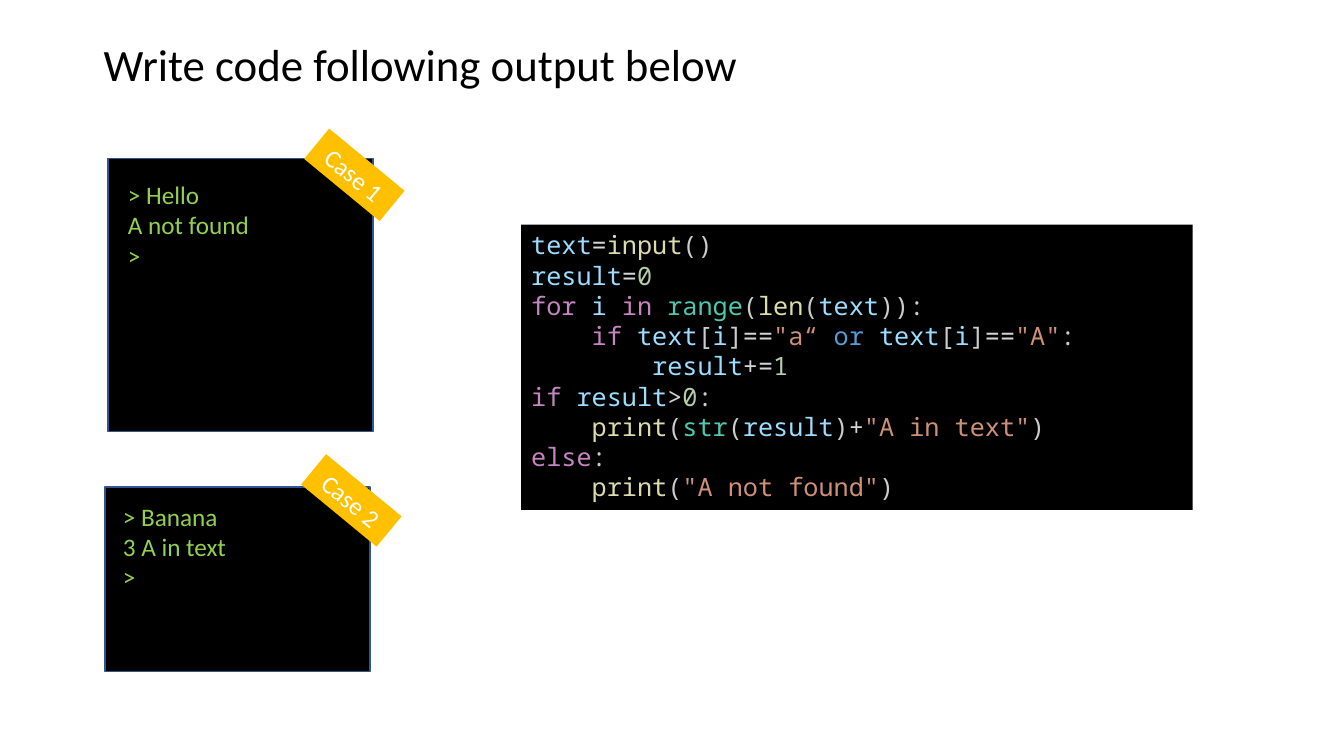
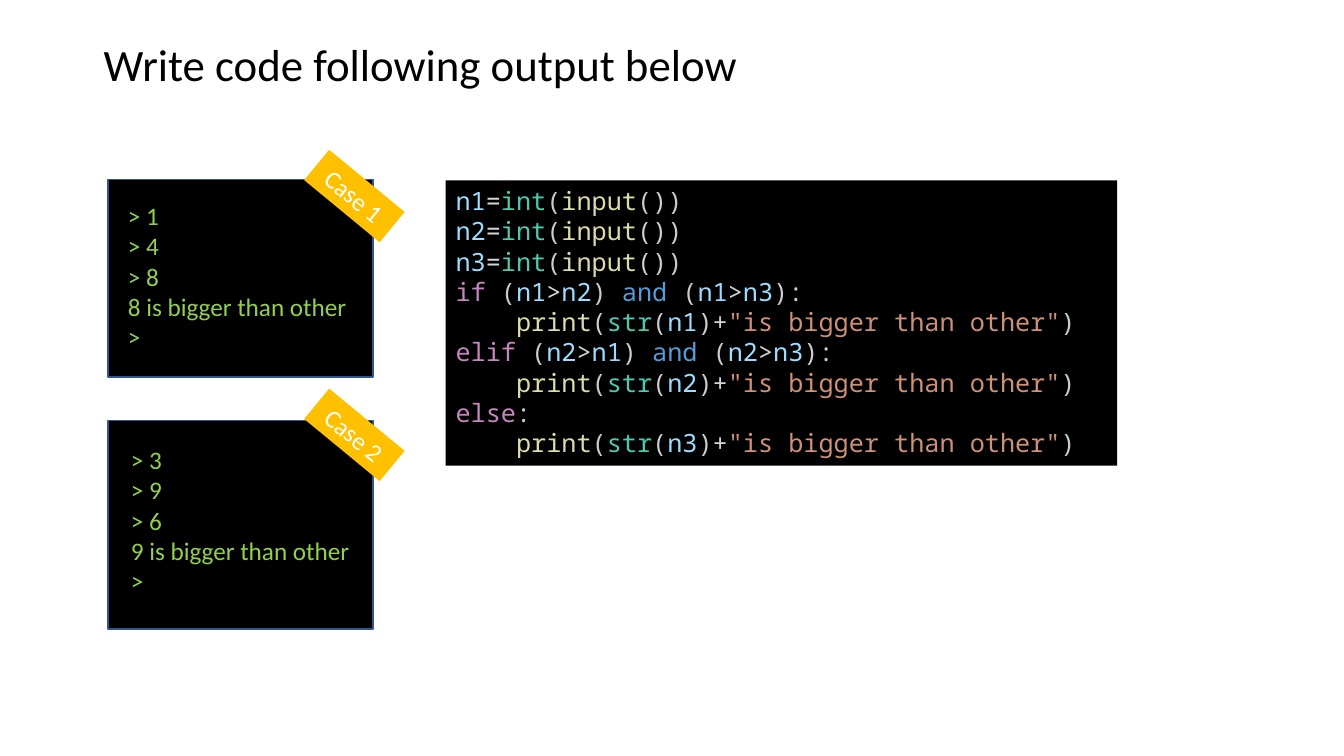
from pptx import Presentation
from pptx.dml.color import RGBColor
from pptx.enum.shapes import MSO_SHAPE
from pptx.enum.text import MSO_ANCHOR, MSO_AUTO_SIZE, PP_ALIGN
from pptx.util import Inches, Pt

BLACK = RGBColor(0x00, 0x00, 0x00)
WHITE = RGBColor(0xFF, 0xFF, 0xFF)
OUTLINE_BLUE = RGBColor(0x32, 0x54, 0x91)
RIBBON_GOLD = RGBColor(0xFF, 0xC0, 0x00)
TERMINAL_GREEN = RGBColor(0x92, 0xD0, 0x50)
VARIABLE = RGBColor(0x9C, 0xDC, 0xFE)
OPERATOR = RGBColor(0xD4, 0xD4, 0xD4)
FUNCTION = RGBColor(0xDC, 0xDC, 0xAA)
BRACKET = RGBColor(0xCC, 0xCC, 0xCC)
NUMBER = RGBColor(0xB5, 0xCE, 0xA8)
KEYWORD = RGBColor(0xC5, 0x86, 0xC0)
TYPE_NAME = RGBColor(0x4E, 0xC9, 0xB0)
STRING = RGBColor(0xCE, 0x91, 0x78)
LOGICAL = RGBColor(0x56, 0x9C, 0xD6)

SYNTAX = [
    (VARIABLE, "text result i n1 n2 n3"),
    (OPERATOR, "= == += > +"),
    (FUNCTION, "input len print"),
    (NUMBER, "0 1"),
    (KEYWORD, "for in if elif else"),
    (TYPE_NAME, "range str int"),
    (LOGICAL, "or and"),
]
TOKEN_COLORS = {token: color for color, tokens in SYNTAX for token in tokens.split()}

TITLE = "Write code following output below"
TITLE_FORMAT = {"name": "Calibri", "size": Pt(32)}
BODY_FORMAT = {"name": "Calibri", "size": Pt(18)}
CODE_FORMAT = {"name": "Noto Sans Mono", "size": Pt(18)}
CODE_INDENT = Inches(0.6)

SLIDES = [
    {
        "cases": [
            {"screen": (1.07, 1.57, 2.63, 2.71), "output": (1.17, 1.73, 1.42, 1.01),
             "ribbon_top": 1.54, "lines": ["> Hello", "A not found", ">"]},
            {"screen": (1.04, 4.83, 2.63, 1.83), "output": (1.12, 4.92, 1.24, 1.01),
             "ribbon_top": 4.77, "lines": ["> Banana", "3 A in text", ">"]},
        ],
        "code_at": (5.17, 2.23),
        "code": [
            "text|=|input|()",
            "result|=|0",
            "for |i |in |range|(|len|(|text|)):",
            '    if |text|[|i|]|==|"a“ |or |text|[|i|]|==|"A"|:',
            "        result|+=|1",
            "if |result|>|0|:",
            '    print|(|str|(|result|)|+|"A in text"|)',
            "else|:",
            '    print|(|"A not found"|)',
        ],
    },
    {
        "cases": [
            {"screen": (1.07, 1.78, 2.63, 1.96), "output": (1.17, 1.94, 2.4, 1.62),
             "ribbon_top": 1.75,
             "lines": ["> 1", "> 4", "> 8", "8 is bigger than other", ">"]},
            {"screen": (1.07, 4.17, 2.63, 2.07), "output": (1.2, 4.36, 2.4, 1.62),
             "ribbon_top": 4.12,
             "lines": ["> 3", "> 9", "> 6", "9 is bigger than other", ">"]},
        ],
        "code_at": (4.42, 1.79),
        "code": [
            "n1|=|int|(|input|())",
            "n2|=|int|(|input|())",
            "n3|=|int|(|input|())",
            "if| (|n1|>|n2|) |and| (|n1|>|n3|):",
            '    print|(|str|(|n1|)|+|"is bigger than other"|)',
            "elif| (|n2|>|n1|) |and| (|n2|>|n3|):",
            '    print|(|str|(|n2|)|+|"is bigger than other"|)',
            "else|:",
            '    print|(|str|(|n3|)|+|"is bigger than other"|)',
        ],
    },
]


def write_lines(shape, lines, font_format, wrap=False):
    frame = shape.text_frame
    frame.word_wrap = wrap
    frame.auto_size = MSO_AUTO_SIZE.SHAPE_TO_FIT_TEXT
    for index, runs in enumerate(lines):
        paragraph = frame.add_paragraph() if index else frame.paragraphs[0]
        for text, color in runs:
            run = paragraph.add_run()
            run.text = text
            for attribute, value in font_format.items():
                setattr(run.font, attribute, value)
            run.font.color.rgb = color


def add_rectangle(slide, box, fill):
    shape = slide.shapes.add_shape(MSO_SHAPE.RECTANGLE, *map(Inches, box))
    shape.shadow.inherit = False
    shape.fill.solid()
    shape.fill.fore_color.rgb = fill
    shape.line.fill.background()
    return shape


presentation = Presentation()
presentation.slide_width = Inches(13.33)
presentation.slide_height = Inches(7.5)

for content in SLIDES:
    slide = presentation.slides.add_slide(presentation.slide_layouts[6])
    title = slide.shapes.add_textbox(*map(Inches, (0.93, 0.32, 6.55, 0.64)))
    write_lines(title, [[(TITLE, BLACK)]], TITLE_FORMAT)

    for case in content["cases"]:
        screen = add_rectangle(slide, case["screen"], BLACK)
        screen.line.color.rgb = OUTLINE_BLUE
        screen.line.width = Pt(1)
        output = slide.shapes.add_textbox(*map(Inches, case["output"]))
        write_lines(output, [[(line, TERMINAL_GREEN)] for line in case["lines"]], BODY_FORMAT)

    for number, case in enumerate(content["cases"], 1):
        ribbon_left = case["screen"][0] + 1.96
        ribbon = add_rectangle(slide, (ribbon_left, case["ribbon_top"], 0.97, 0.39), RIBBON_GOLD)
        ribbon.rotation = 39.5
        write_lines(ribbon, [[(f"Case {number}", WHITE)]], BODY_FORMAT, wrap=True)
        ribbon.text_frame.auto_size = MSO_AUTO_SIZE.NONE
        ribbon.text_frame.vertical_anchor = MSO_ANCHOR.MIDDLE
        ribbon.text_frame.paragraphs[0].alignment = PP_ALIGN.CENTER

    code_lines = []
    for line in content["code"]:
        tokens = line.lstrip().split("|")
        code_lines.append([
            (token, STRING if token.startswith('"') else TOKEN_COLORS.get(token.strip(), BRACKET))
            for token in tokens
        ])
    code_box = add_rectangle(slide, (*content["code_at"], 6.66, 2.83), BLACK)
    write_lines(code_box, code_lines, CODE_FORMAT, wrap=True)
    code_box.text_frame.vertical_anchor = MSO_ANCHOR.TOP
    for line, paragraph in zip(content["code"], code_box.text_frame.paragraphs):
        depth = (len(line) - len(line.lstrip())) // 4
        paragraph.alignment = PP_ALIGN.LEFT
        paragraph._p.get_or_add_pPr().set("marL", str(depth * CODE_INDENT))

presentation.save("out.pptx")
